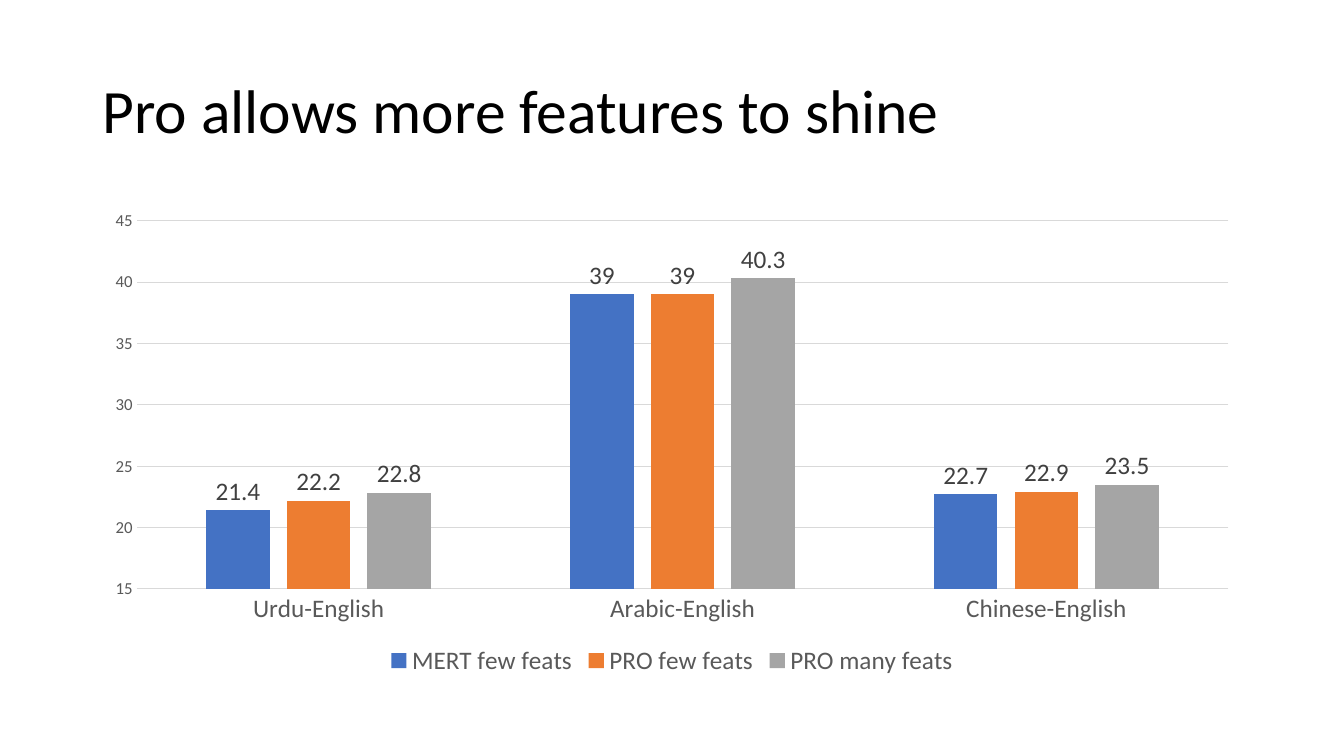
from pptx import Presentation
from pptx.chart.data import CategoryChartData
from pptx.dml.color import RGBColor
from pptx.enum.chart import XL_CHART_TYPE as ChartType
from pptx.enum.chart import XL_LABEL_POSITION as LabelPosition
from pptx.enum.chart import XL_LEGEND_POSITION as LegendPosition
from pptx.enum.chart import XL_TICK_MARK as TickMark
from pptx.enum.text import MSO_ANCHOR as Anchor
from pptx.enum.text import PP_ALIGN as Align
from pptx.util import Cm, Pt

BLACK = RGBColor(0x00, 0x00, 0x00)
TEXT_GRAY = RGBColor(0x59, 0x59, 0x59)
LABEL_GRAY = RGBColor(0x40, 0x40, 0x40)
LINE_GRAY = RGBColor(0xD9, 0xD9, 0xD9)
BLUE = RGBColor(0x44, 0x72, 0xC4)
ORANGE = RGBColor(0xED, 0x7D, 0x31)
GRAY = RGBColor(0xA5, 0xA5, 0xA5)

LEFT, WIDTH = Cm(2.33), Cm(29.21)
LANGUAGE_PAIRS = ["Urdu-English", "Arabic-English", "Chinese-English"]
SYSTEMS = [
    ("MERT few feats", [21.4, 39, 22.7], BLUE),
    ("PRO few feats", [22.2, 39, 22.9], ORANGE),
    ("PRO many feats", [22.8, 40.3, 23.5], GRAY),
]


def set_format(target, values):
    for name, value in values.items():
        setattr(target, name, value)


def set_font(font, size, color):
    set_format(font, {"name": "Calibri", "size": Pt(size), "bold": False})
    font.color.rgb = color


def set_line(line, color):
    line.color.rgb = color
    line.width = Pt(0.75)


def add_title(slide, wording):
    title = slide.shapes.title
    set_format(title, {"left": LEFT, "top": Cm(1.01),
                       "width": WIDTH, "height": Cm(3.68)})
    title.text_frame.vertical_anchor = Anchor.MIDDLE
    heading = title.text_frame.paragraphs[0]
    set_format(heading, {"text": wording, "alignment": Align.LEFT,
                         "line_spacing": 0.9})
    set_font(heading.runs[0].font, 44, BLACK)


def format_axes(chart):
    pairs, scores = chart.category_axis, chart.value_axis
    for axis, size in ((pairs, 18), (scores, 12)):
        set_format(axis, {"major_tick_mark": TickMark.NONE,
                          "minor_tick_mark": TickMark.NONE})
        set_font(axis.tick_labels.font, size, TEXT_GRAY)
    set_line(pairs.format.line, LINE_GRAY)
    set_format(scores, {"minimum_scale": 15, "maximum_scale": 45,
                        "major_unit": 5, "has_major_gridlines": True})
    scores.format.line.fill.background()
    set_line(scores.major_gridlines.format.line, LINE_GRAY)


def format_legend(chart):
    chart.has_legend = True
    set_format(chart.legend, {"position": LegendPosition.BOTTOM,
                              "include_in_layout": False})
    set_font(chart.legend.font, 18, TEXT_GRAY)


def format_bars(plot):
    set_format(plot, {"gap_width": 219, "overlap": -27,
                      "vary_by_categories": False})
    for bars, (_, _, color) in zip(plot.series, SYSTEMS):
        bars.format.fill.solid()
        bars.format.fill.fore_color.rgb = color
        bars.invert_if_negative = False
        set_format(bars.data_labels, {"show_value": True,
                                      "position": LabelPosition.OUTSIDE_END})
        set_font(bars.data_labels.font, 18, LABEL_GRAY)


def add_score_chart(slide):
    scores = CategoryChartData()
    scores.categories = LANGUAGE_PAIRS
    for system, values, _ in SYSTEMS:
        scores.add_series(system, values)
    chart = slide.shapes.add_chart(ChartType.COLUMN_CLUSTERED, LEFT, Cm(5.07),
                                   WIDTH, Cm(12.09), scores).chart
    chart.has_title = False
    set_font(chart.font, 10, BLACK)
    format_axes(chart)
    format_legend(chart)
    format_bars(chart.plots[0])


def main():
    deck = Presentation()
    set_format(deck, {"slide_width": Cm(33.87), "slide_height": Cm(19.05)})
    slide = deck.slides.add_slide(deck.slide_layouts.get_by_name("Title Only"))
    add_title(slide, "Pro allows more features to shine")
    add_score_chart(slide)
    deck.save("out.pptx")


if __name__ == "__main__":
    main()
